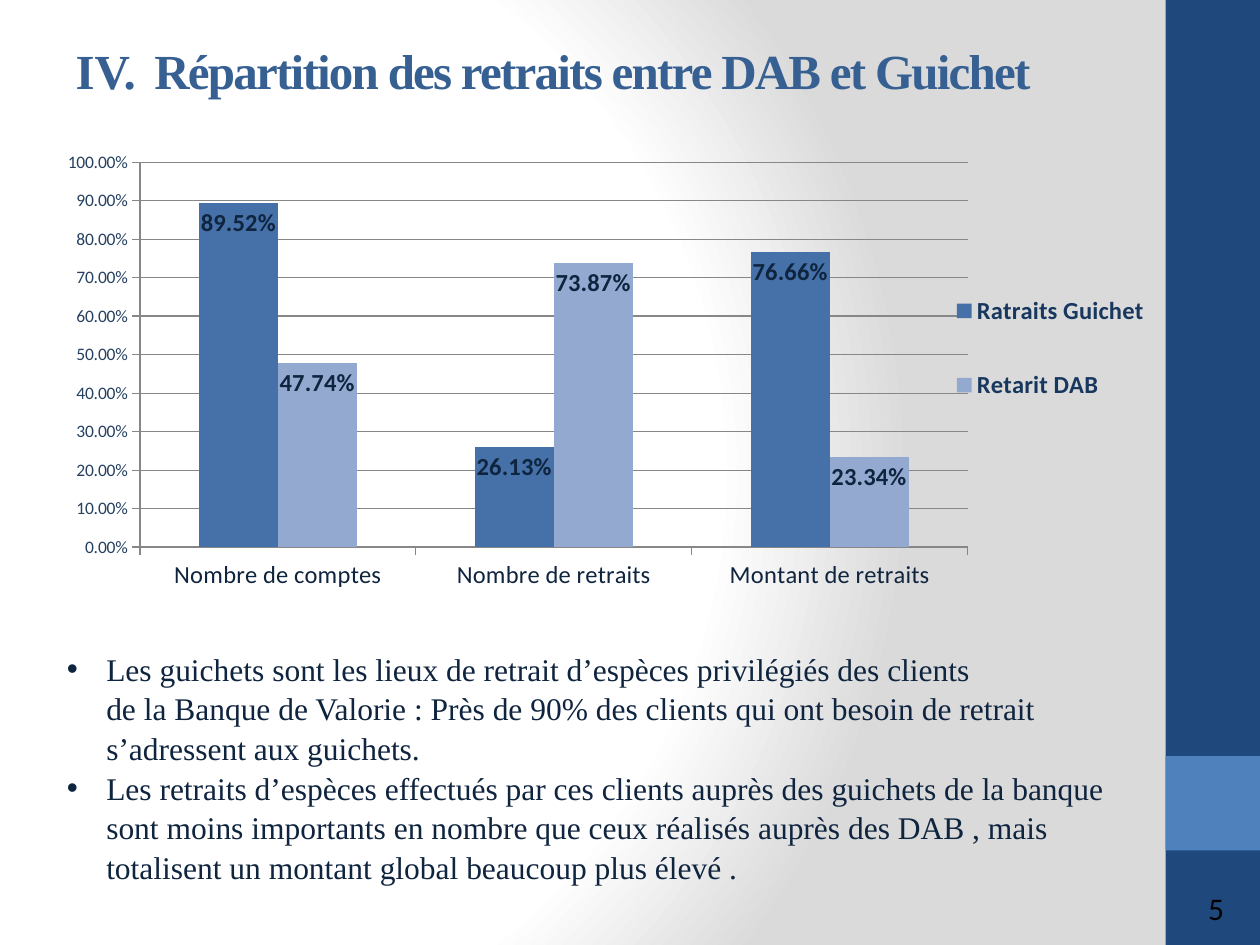
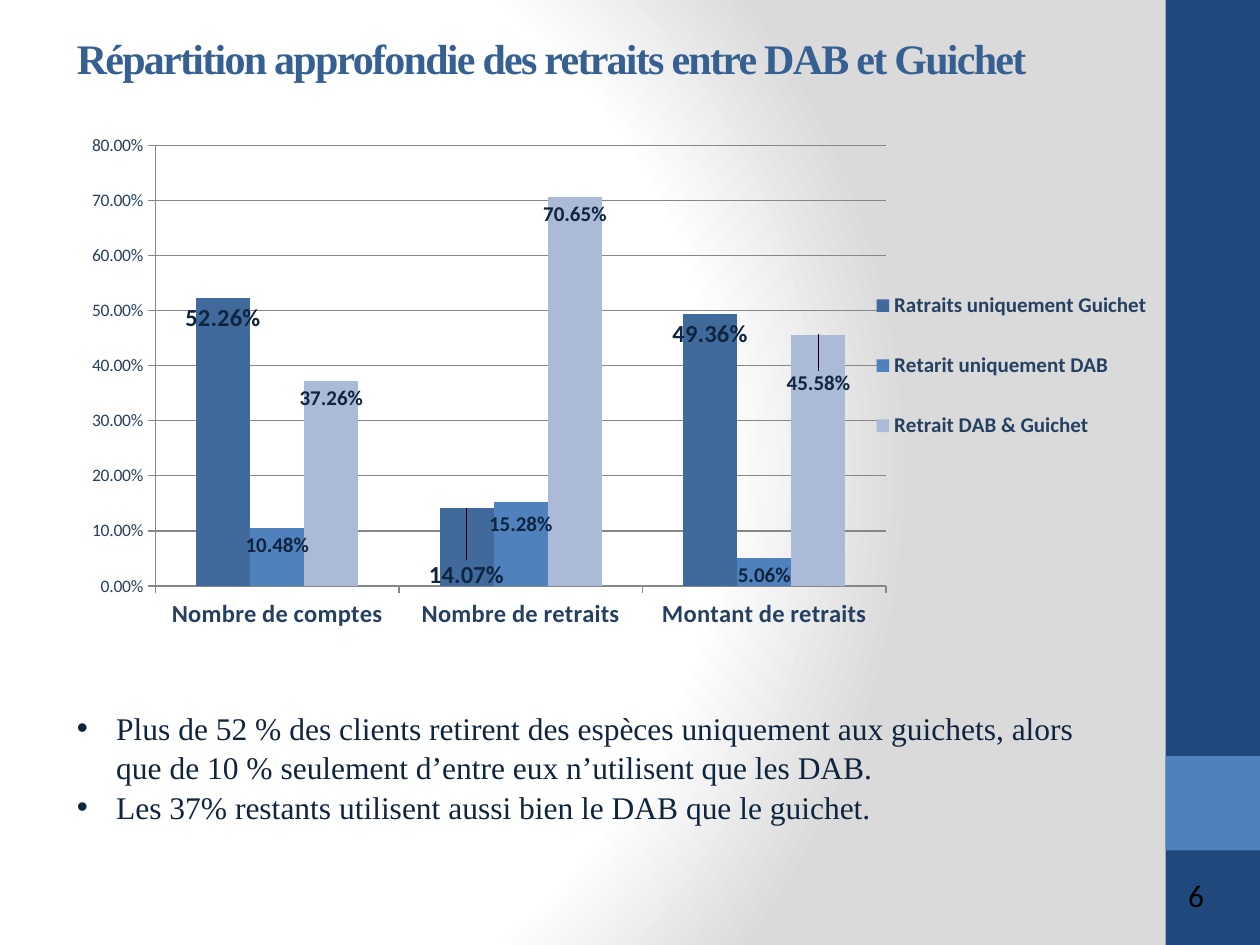
import pptx
import pptx.chart.data
import pptx.dml.color
import pptx.enum.chart
import pptx.enum.shapes
import pptx.enum.text
import pptx.oxml
import pptx.oxml.ns
import pptx.util

Pt = pptx.util.Pt
qn = pptx.oxml.ns.qn

SLIDE_SIZE = (720, 540)
NAVY, BLUE, TITLE_BLUE = "1F497D", "4F81BD", "376092"
INK, AXIS_BLUE, GRID_GREY, BLACK = "0F243E", "254061", "878787", "000000"
SERIF, SANS = "Times New Roman", "Calibri"
PERCENT = "0.00%"
BANDS = [((666, 0, 54, 540), NAVY), ((666, 432, 54, 54), BLUE)]
BACKGROUND_STOPS = [(0, "FFFFFF"), (75, "FFFFFF"), (100, "DADADA")]
CATEGORIES = ["Nombre de comptes", "Nombre de retraits", "Montant de retraits"]

# Boxes are (left, top, width, height) in points; chart layouts are fractions of the chart.
# Series are (name, values, colour, label size, {point: label shift}).
SLIDES = [
    {
        "title": "Répartition des retraits entre DAB et Guichet",
        "title_box": (36, 21.6, 600, 90),
        "title_size": 28,
        "title_number": 4,
        "bullets": [
            "Les guichets sont les lieux de retrait d’espèces privilégiés des clients\v"
            "de la Banque de Valorie : Près de 90% des clients qui ont besoin de retrait "
            "s’adressent aux guichets.",
            "Les retraits d’espèces effectués par ces clients auprès des guichets de la banque "
            "sont moins importants en nombre que ceux réalisés auprès des DAB , mais "
            "totalisent un montant global beaucoup plus élevé .",
        ],
        "bullets_box": (31, 366.5, 629.3, 138.2),
        "chart_box": (29.5, 87.1, 630.7, 256.3),
        "plot_layout": (0.08, 0.02, 0.75, 0.86),
        "legend_layout": (0.81, 0.22, 0.19, 0.43),
        "legend_font": (14, "17375E"),
        "bold_categories": False,
        "category_colour": INK,
        "axis_maximum": 1.0,
        "series": [
            ("Ratraits Guichet", (0.8952, 0.2613, 0.7666), "4571A8", 14, {}),
            ("Retarit DAB", (0.4774, 0.7387, 0.2334), "93A9D0", 14, {}),
        ],
        "number": "5",
        "number_box": (683.3, 504.7, 28, 28.8),
    },
    {
        "title": "Répartition approfondie des retraits entre DAB et Guichet",
        "title_box": (36.7, 37.4, 600, 44),
        "title_size": 24,
        "title_number": None,
        "bullets": [
            "Plus de 52 % des clients retirent des espèces uniquement aux guichets, alors "
            "que de 10 % seulement d’entre eux n’utilisent que les DAB.",
            "Les 37% restants utilisent aussi bien le DAB que le guichet.",
        ],
        "bullets_box": (36.7, 400.3, 589.7, 72.7),
        "chart_box": (36.7, 71.3, 652.3, 293),
        "plot_layout": (0.08, 0.04, 0.64, 0.86),
        "legend_layout": (0.7, 0.26, 0.26, 0.42),
        "legend_font": (12, AXIS_BLUE),
        "bold_categories": True,
        "category_colour": AXIS_BLUE,
        "axis_maximum": 0.8,
        "series": [
            ("Ratraits uniquement Guichet", (0.5226, 0.1407, 0.4936), "406A9C", 14,
             {1: (0, 0.09)}),
            ("Retarit uniquement DAB", (0.1048, 0.1528, 0.0506), BLUE, 12, {1: (0, 0.01)}),
            ("Retrait DAB & Guichet", (0.3726, 0.7065, 0.4558), "AABAD7", 12, {2: (0, 0.06)}),
        ],
        "number": "6",
        "number_box": (671.8, 496.8, 48.2, 28.8),
    },
]


def colour(hex_string):
    return pptx.dml.color.RGBColor.from_string(hex_string)


def points(box):
    return [Pt(length) for length in box]


def set_font(font, size, hex_string, name=SANS, bold=False):
    font.size, font.name, font.bold = Pt(size), name, bold
    font.color.rgb = colour(hex_string)


def place(shape, box):
    shape.left, shape.top, shape.width, shape.height = points(box)


def set_indent(paragraph, distance):
    """Hang the first line by the given distance and return the paragraph properties."""
    properties = paragraph._p.get_or_add_pPr()
    properties.set("marL", str(Pt(distance)))
    properties.set("indent", str(-Pt(distance)))
    return properties


def style_master(master, first_slide):
    """Give the master its radial background and its right-hand bands."""
    master.background.fill.solid()
    background = master.element.find(".//" + qn("p:bgPr"))
    stops = "".join(
        f'<a:gs pos="{position * 1000}"><a:srgbClr val="{value}"/></a:gs>'
        for position, value in BACKGROUND_STOPS)
    gradient = pptx.oxml.parse_xml(
        f'<a:gradFill {pptx.oxml.ns.nsdecls("a")} rotWithShape="1"><a:gsLst>{stops}</a:gsLst>'
        '<a:path path="circle"><a:fillToRect l="20000" t="50000" r="100000" b="50000"/>'
        '</a:path></a:gradFill>')
    background.replace(background[0], gradient)
    for index, (box, fill) in enumerate(BANDS):
        band = first_slide.shapes.add_shape(
            pptx.enum.shapes.MSO_SHAPE.RECTANGLE, *points(box))
        band.shadow.inherit = False
        band.fill.solid()
        band.fill.fore_color.rgb = colour(fill)
        band.line.fill.background()
        master.shapes.element.insert(2 + index, band.element)


def add_title(slide, content):
    title = slide.shapes.title
    place(title, content["title_box"])
    frame = title.text_frame
    frame.auto_size = pptx.enum.text.MSO_AUTO_SIZE.NONE
    frame.vertical_anchor = pptx.enum.text.MSO_ANCHOR.MIDDLE
    frame.text = content["title"] + "\v"
    paragraph = frame.paragraphs[0]
    paragraph.alignment = pptx.enum.text.PP_ALIGN.LEFT
    # The closing line break keeps the layout's larger size, which lifts the title.
    font = paragraph.runs[0].font
    set_font(font, content["title_size"], TITLE_BLUE, SERIF, True)
    paragraph.runs[0]._r.get_or_add_rPr().set("spc", "-100")
    if content["title_number"]:
        set_indent(paragraph, 45).append(pptx.oxml.parse_xml(
            f'<a:buAutoNum {pptx.oxml.ns.nsdecls("a")} type="romanUcPeriod" '
            f'startAt="{content["title_number"]}"/>'))


def add_bullets(slide, content):
    body = slide.placeholders[1]
    place(body, content["bullets_box"])
    frame = body.text_frame
    frame.auto_size = pptx.enum.text.MSO_AUTO_SIZE.NONE
    frame.text = "\n".join(content["bullets"])
    for paragraph in frame.paragraphs:
        paragraph.space_before = Pt(0)
        paragraph.line_spacing = 1.05
        set_font(paragraph.font, 18, INK, SERIF)
        set_indent(paragraph, 22.5)


def chart_layout(position, modes=""):
    values = "".join(f'<c:{key} val="{value}"/>' for key, value in zip("xywh", position))
    return pptx.oxml.parse_xml(
        f'<c:layout {pptx.oxml.ns.nsdecls("c")}><c:manualLayout>{modes}{values}'
        '</c:manualLayout></c:layout>')


def set_area_layout(area, index, position, target=""):
    """Fix the plot area or legend, with its layout as the child at index."""
    for old_layout in area.findall(qn("c:layout")):
        area.remove(old_layout)
    modes = target + '<c:xMode val="edge"/><c:yMode val="edge"/>'
    area.insert(index, chart_layout(position, modes))


def style_axes(chart, content):
    value_axis, category_axis = chart.value_axis, chart.category_axis
    value_axis.minimum_scale = 0
    value_axis.maximum_scale = content["axis_maximum"]
    value_axis.major_unit = 0.1
    value_axis.has_major_gridlines = True
    value_axis.tick_labels.number_format = PERCENT
    value_axis.tick_labels.number_format_is_linked = False
    set_font(value_axis.tick_labels.font, 10, AXIS_BLUE)
    set_font(category_axis.tick_labels.font, 14, content["category_colour"],
             bold=content["bold_categories"])
    for part in (value_axis, category_axis, value_axis.major_gridlines):
        part.format.line.color.rgb = colour(GRID_GREY)
        part.format.line.width = Pt(0.75)


def style_series(series, fill, label_size, label_shifts):
    series.format.fill.solid()
    series.format.fill.fore_color.rgb = colour(fill)
    inside_end = pptx.enum.chart.XL_LABEL_POSITION.INSIDE_END
    labels = series.data_labels
    labels.show_value = True
    labels.number_format, labels.number_format_is_linked = PERCENT, False
    labels.position = inside_end
    set_font(labels.font, label_size, INK, bold=True)
    for index, shift in label_shifts.items():
        label = series.points[index].data_label
        label.position = inside_end
        set_font(label.font, label_size, INK, bold=True)
        label_index = series._element.find(f".//{qn('c:dLbl')}/{qn('c:idx')}")
        label_index.addnext(chart_layout(shift))


def add_withdrawal_chart(slide, content):
    data = pptx.chart.data.CategoryChartData(number_format=PERCENT)
    data.categories = CATEGORIES
    for name, values, *_ in content["series"]:
        data.add_series(name, values)
    chart = slide.shapes.add_chart(
        pptx.enum.chart.XL_CHART_TYPE.COLUMN_CLUSTERED,
        *points(content["chart_box"]), data).chart
    set_font(chart.font, 10, AXIS_BLUE)
    chart.has_title = False
    chart.has_legend = True
    chart.legend.position = pptx.enum.chart.XL_LEGEND_POSITION.RIGHT
    chart.legend.include_in_layout = False
    legend_size, legend_colour = content["legend_font"]
    set_font(chart.legend.font, legend_size, legend_colour, bold=True)
    plot = chart.plots[0]
    plot.gap_width, plot.overlap, plot.vary_by_categories = 150, 0, False
    style_axes(chart, content)
    for series, (_, _, *style) in zip(plot.series, content["series"]):
        style_series(series, *style)
    space = chart.element
    set_area_layout(space.find(".//" + qn("c:plotArea")), 0, content["plot_layout"],
                    '<c:layoutTarget val="inner"/>')
    set_area_layout(space.find(".//" + qn("c:legend")), 1, content["legend_layout"])


def add_slide_number(slide, content):
    frame = slide.shapes.add_textbox(*points(content["number_box"])).text_frame
    frame.word_wrap = True
    frame.text = content["number"]
    set_font(frame.paragraphs[0].font, 18, BLACK)


def main():
    presentation = pptx.Presentation()
    presentation.slide_width, presentation.slide_height = points(SLIDE_SIZE)
    title_and_content = presentation.slide_layouts[1]
    for content in SLIDES:
        slide = presentation.slides.add_slide(title_and_content)
        add_title(slide, content)
        add_bullets(slide, content)
        add_withdrawal_chart(slide, content)
        add_slide_number(slide, content)
    style_master(presentation.slide_master, presentation.slides[0])
    presentation.save("out.pptx")


if __name__ == "__main__":
    main()
